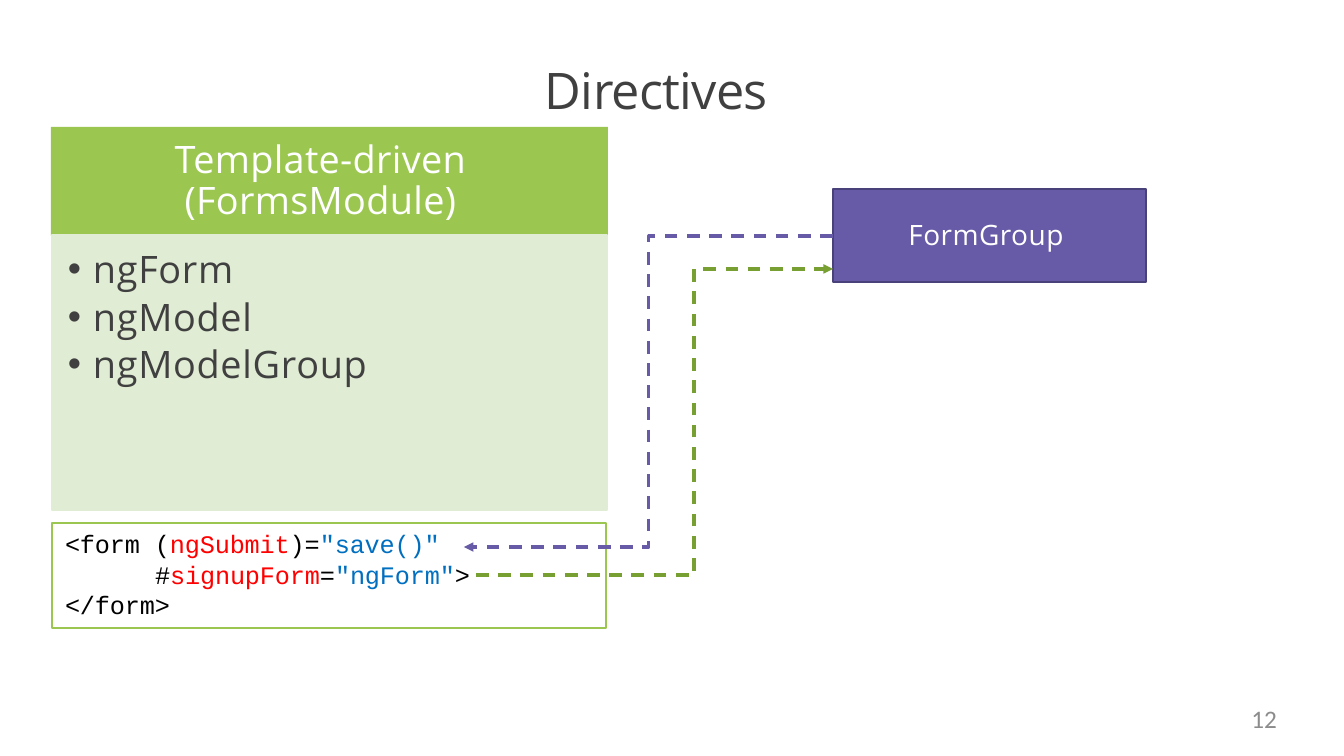
from lxml.etree import SubElement
from pptx import Presentation
from pptx.dml.color import RGBColor
from pptx.enum.dml import MSO_LINE
from pptx.enum.shapes import MSO_CONNECTOR, MSO_SHAPE
from pptx.enum.text import MSO_ANCHOR, PP_ALIGN
from pptx.oxml.ns import qn
from pptx.util import Emu, Pt

PIXEL = 914400 / 100.8

WHITE = RGBColor(0xFF, 0xFF, 0xFF)
BLACK = RGBColor(0, 0, 0)
DARK = RGBColor(0x40, 0x40, 0x40)
GRAY = RGBColor(0x8C, 0x8C, 0x8C)
GREEN = RGBColor(0x9B, 0xC7, 0x50)
PALE_GREEN = RGBColor(0xE0, 0xEC, 0xD4)
ARROW_GREEN = RGBColor(0x77, 0x9F, 0x31)
PURPLE = RGBColor(0x67, 0x5B, 0xA7)
DARK_PURPLE = RGBColor(0x49, 0x41, 0x79)
RED = RGBColor(0xFF, 0, 0)
BLUE = RGBColor(0, 0x6F, 0xC0)

CODE_LINES = [
    [("<form (", BLACK), ("ngSubmit", RED), (")=", BLACK), ('"save()"', BLUE)],
    [("#", BLACK), ("signupForm", RED), ("=", BLACK), ('"ngForm"', BLUE), (">", BLACK)],
    [("</form>", BLACK)],
]


def px(value):
    return Emu(round(value * PIXEL))


def place(shape, box):
    shape.left, shape.top, shape.width, shape.height = map(px, box)


def set_margins(text_frame, top=0, right=0, bottom=0, anchor=MSO_ANCHOR.TOP):
    text_frame.margin_left, text_frame.margin_top = 0, px(top)
    text_frame.margin_right, text_frame.margin_bottom = px(right), px(bottom)
    text_frame.vertical_anchor = anchor
    text_frame.word_wrap = True


def format_run(run, size, color, font="Open Sans", spacing=0.0):
    run.font.size, run.font.name, run.font.color.rgb = Pt(size), font, color
    run._r.get_or_add_rPr().set("spc", str(round(spacing * 100)))


def format_text(text_frame, size, color, align, spacing=0.0, line=None, font="Open Sans"):
    for paragraph in text_frame.paragraphs:
        paragraph.alignment = align
        if line:
            paragraph.line_spacing = Pt(line)
        for run in paragraph.runs:
            format_run(run, size, color, font, spacing)


def add_rectangle(slide, box, fill=None, line=None, width=2.0):
    shape = slide.shapes.add_shape(MSO_SHAPE.RECTANGLE, *map(px, box))
    shape.shadow.inherit = False
    if fill is None:
        shape.fill.background()
    else:
        shape.fill.solid()
        shape.fill.fore_color.rgb = fill
    if line is None:
        shape.line.fill.background()
    else:
        shape.line.color.rgb = line
        shape.line.width = Pt(width)
    return shape


def set_title(slide, box):
    title = slide.shapes.title
    place(title, box)
    title.text_frame.text = "Directives"
    set_margins(title.text_frame, anchor=MSO_ANCHOR.MIDDLE)
    format_text(title.text_frame, 36, DARK, PP_ALIGN.LEFT, -0.5)


def add_directives_panel(slide, box, header_height):
    left, top, width, height = box
    # Header
    header = add_rectangle(slide, (left, top, width, header_height), GREEN)
    header.text_frame.text = "Template-driven\n(FormsModule)"
    set_margins(header.text_frame, right=18, anchor=MSO_ANCHOR.MIDDLE)
    format_text(header.text_frame, 27, WHITE, PP_ALIGN.CENTER, 0.25, 29.2)
    # Bulleted list
    body = add_rectangle(slide, (left + 1, top + header_height - 1, width - 2,
                                 height - header_height), PALE_GREEN, PALE_GREEN)
    body.text_frame.text = "ngForm\nngModel\nngModelGroup"
    set_margins(body.text_frame, top=9)
    format_text(body.text_frame, 27, DARK, PP_ALIGN.LEFT, 0.5, 33.8)
    for paragraph in body.text_frame.paragraphs:
        properties = paragraph._p.get_or_add_pPr()
        properties.set("marL", str(px(41)))
        properties.set("indent", str(-px(25)))
        SubElement(properties, qn("a:buFont"), typeface="Arial")
        SubElement(properties, qn("a:buChar"), char="•")


def add_code_box(slide, box):
    left, top, width, height = box
    add_rectangle(slide, box, line=GREEN, width=0.96)
    text_box = slide.shapes.add_textbox(px(left + 13), px(top + 4), px(408), px(height - 11))
    text_frame = text_box.text_frame
    set_margins(text_frame, anchor=MSO_ANCHOR.MIDDLE)
    text_frame.text = "\n" * (len(CODE_LINES) - 1)
    for paragraph, parts in zip(text_frame.paragraphs, CODE_LINES):
        paragraph.line_spacing = Pt(21.8)
        for text, color in parts:
            run = paragraph.add_run()
            run.text = text
            format_run(run, 18, color, "Courier New", -0.1)
    # The second line continues the form tag
    text_frame.paragraphs[1]._p.get_or_add_pPr().set("marL", str(px(90)))


def add_form_group(slide, box):
    shape = add_rectangle(slide, box, PURPLE, DARK_PURPLE)
    shape.text_frame.text = "FormGroup"
    set_margins(shape.text_frame, right=7, bottom=2, anchor=MSO_ANCHOR.MIDDLE)
    format_text(shape.text_frame, 20, WHITE, PP_ALIGN.CENTER, 0.3)


def add_elbow_arrow(slide, start, end, bend_x, color):
    connector = slide.shapes.add_connector(MSO_CONNECTOR.ELBOW, *map(px, start + end))
    connector.line.color.rgb = color
    connector.line.width = Pt(2.28)
    connector.line.dash_style = MSO_LINE.DASH
    SubElement(connector.line._get_or_add_ln(), qn("a:tailEnd"), type="triangle",
               w="med", len="med")
    properties = connector._element.spPr
    SubElement(properties, qn("a:effectLst"))
    bend = round((bend_x - start[0]) / (end[0] - start[0]) * 100000)
    adjustments = properties.find(qn("a:prstGeom")).find(qn("a:avLst"))
    SubElement(adjustments, qn("a:gd"), name="adj1", fmla=f"val {bend}")


def add_page_number(slide, box):
    text_box = slide.shapes.add_textbox(*map(px, box))
    text_box.text_frame.text = "12"
    set_margins(text_box.text_frame)
    format_text(text_box.text_frame, 18, GRAY, PP_ALIGN.RIGHT, font="Calibri")


def build_directives_slide(presentation):
    slide = presentation.slides.add_slide(presentation.slide_layouts[5])
    set_title(slide, (545, 57, 247, 64))
    add_directives_panel(slide, (51, 127, 557, 384), 109)
    add_code_box(slide, (52, 523, 554, 105))
    add_form_group(slide, (833, 189, 313, 93))
    # Links between the form and its group
    add_elbow_arrow(slide, (833, 236), (464, 547), 649, PURPLE)
    add_elbow_arrow(slide, (476, 575), (833, 269), 694, ARROW_GREEN)
    add_page_number(slide, (968, 703, 309, 38))


presentation = Presentation()
presentation.slide_width, presentation.slide_height = px(1344), px(756)
build_directives_slide(presentation)
presentation.save("out.pptx")
